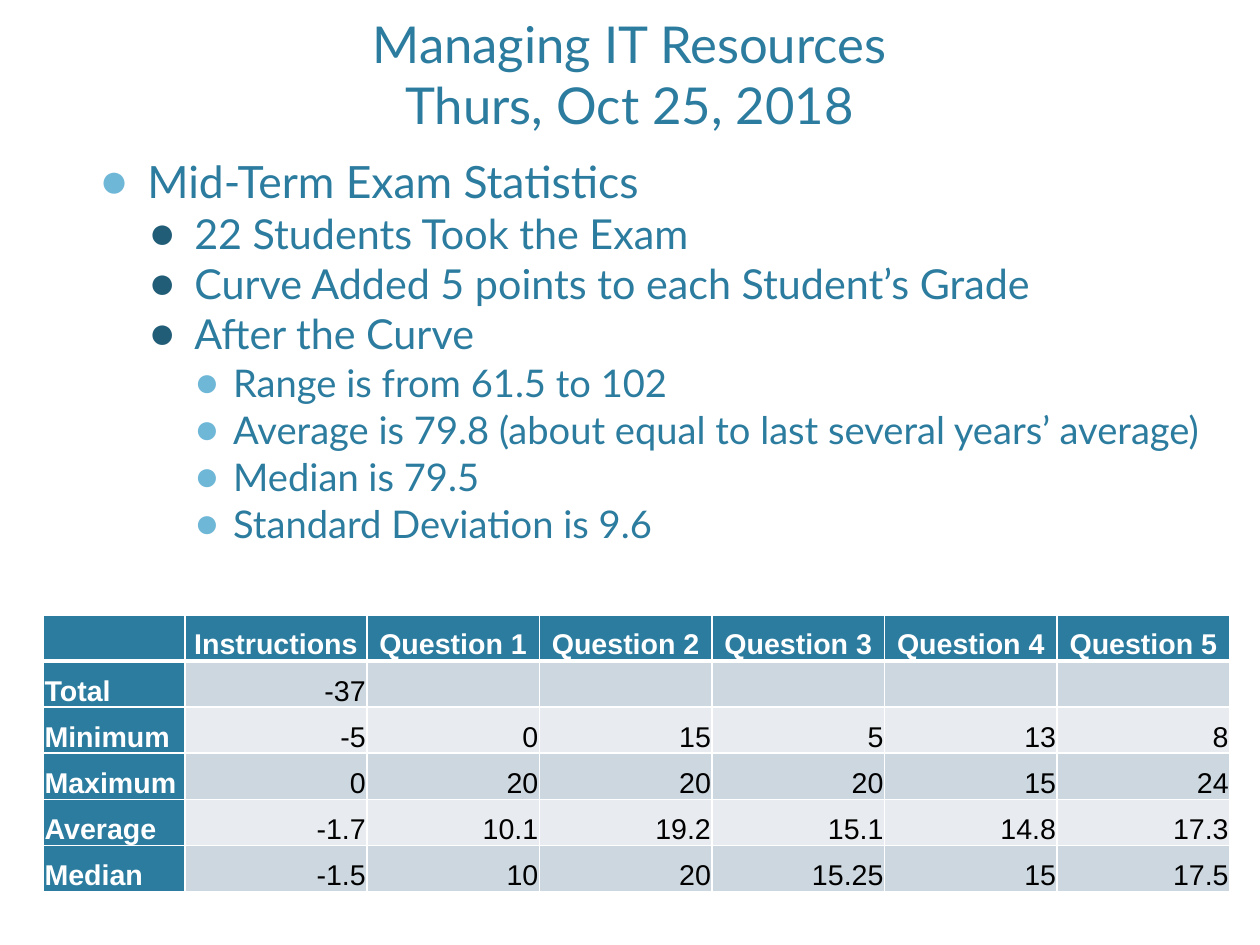
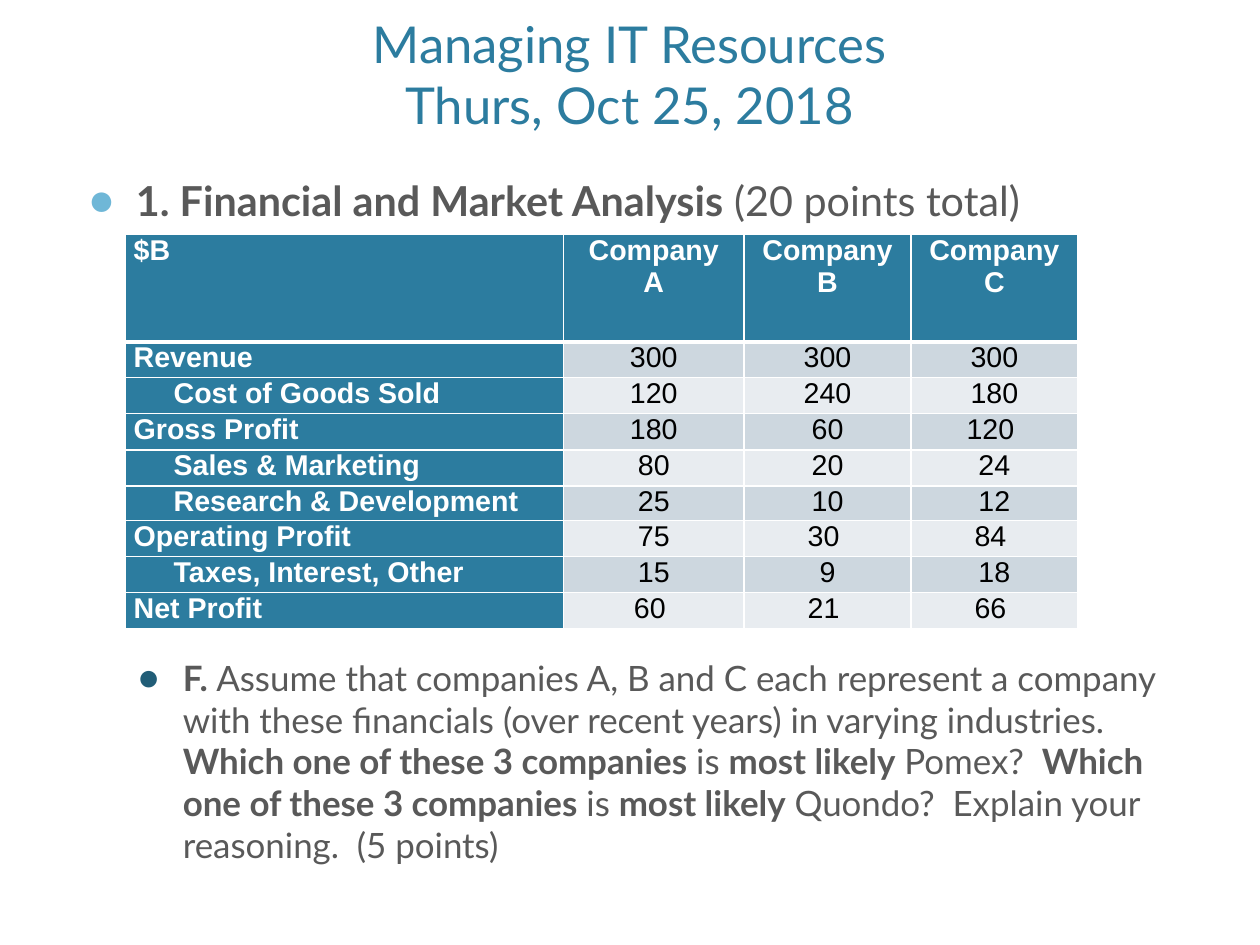
"""Build two class slides: exam statistics and a financial question."""
from lxml import etree
from pptx import Presentation
from pptx.dml.color import RGBColor
from pptx.enum import text
from pptx.oxml import ns
from pptx.util import Cm, Inches, Pt

COLORS = {"teal": "2C7C9F", "sky": "6FB7D7", "navy": "215D77", "gray": "595959",
          "band": "CDD7DF", "pale": "E8ECF0", "white": "FFFFFF", "black": "000000"}
LEFT, CENTER, RIGHT = text.PP_ALIGN.LEFT, text.PP_ALIGN.CENTER, text.PP_ALIGN.RIGHT
TITLE = ("Managing IT Resources", "Thurs, Oct 25, 2018")
BULLETS = [(0.42, -0.42, "sky", 22), (0.83, -0.4, "navy", 6.6), (1.17, -0.34, "sky", 6.6)]

STATISTICS = [
    (0, "Mid-Term Exam Statistics"),
    (1, "22 Students Took the Exam"),
    (1, "Curve Added 5 points to each Student’s Grade"),
    (1, "After the Curve"),
    (2, "Range is from 61.5 to 102"),
    (2, "Average is 79.8 (about equal to last several years’ average)"),
    (2, "Median is 79.5"),
    (2, "Standard Deviation is 9.6"),
]
SCORES = [
    ["", "Instructions"] + [f"Question {n}" for n in range(1, 6)],
    ["Total", "-37", "", "", "", "", ""],
    ["Minimum", "-5", "0", "15", "5", "13", "8"],
    ["Maximum", "0", "20", "20", "20", "15", "24"],
    ["Average", "-1.7", "10.1", "19.2", "15.1", "14.8", "17.3"],
    ["Median", "-1.5", "10", "20", "15.25", "15", "17.5"],
]
FINANCIALS = [
    ["$B", "Company\nA", "Company\nB", "Company\nC"],
    ["Revenue", "300", "300", "300"],
    ["Cost of Goods Sold", "120", "240", "180"],
    ["Gross Profit", "180", "60", "120 "],
    ["Sales & Marketing", "80", "20", "24"],
    ["Research & Development", "25", "10", "12"],
    ["Operating Profit", "75", "30 ", "84 "],
    ["Taxes, Interest, Other", "15", "9", "18"],
    ["Net Profit", "60 ", "21 ", "66 "],
]
COST_ROWS = (2, 4, 5, 7)
HEADING = [("1. Financial and Market Analysis ", True), ("(20 points total)", False)]
QUESTION = [
    ("F. ", True),
    ("Assume that companies A, B and C each represent a company with these "
     "financials (over recent years) in varying industries.  ", False),
    ("Which one of these 3 companies", True), (" is ", False),
    ("most likely", True), (" Pomex?  ", False),
    ("Which one of these 3 companies", True), (" is ", False),
    ("most likely", True),
    (" Quondo?  Explain your reasoning.  (5 points)", False),
]


def add_run(p, words, size, color, font="Lato", bold=False):
    """Add one formatted run to a paragraph."""
    r = p.add_run()
    r.text = words
    r.font.size, r.font.name, r.font.bold = Pt(size), font, bold
    r.font.color.rgb = RGBColor.from_string(COLORS[color])


def place(sp, left, top, width, height):
    """Position a shape, in inches."""
    sp.left, sp.top, sp.width, sp.height = map(Inches, (left, top, width, height))


def set_frame(tf, anchor):
    """Give a text frame the shared margins and no autofit."""
    tf.word_wrap, tf.auto_size = True, text.MSO_AUTO_SIZE.NONE
    tf.vertical_anchor = anchor
    tf.margin_left = tf.margin_right = Inches(0.11)
    tf.margin_top = tf.margin_bottom = Inches(0.06)


def add_slide(prs, body_box):
    """Add a slide with the shared title; return it and its body text frame."""
    s = prs.slides.add_slide(prs.slide_layouts[1])
    title, body = s.placeholders
    place(title, 0.66, -0.37, 9.7, 1.61)
    set_frame(title.text_frame, text.MSO_ANCHOR.BOTTOM)
    p = title.text_frame.paragraphs[0]
    p.alignment = CENTER
    add_run(p, TITLE[0], 32, "teal")
    p.add_line_break()
    add_run(p, TITLE[1], 32, "teal")
    place(body, *body_box)
    set_frame(body.text_frame, text.MSO_ANCHOR.TOP)
    return s, body.text_frame


def add_bullet(tf, level, runs, size, color, spacing=1.0, before=None):
    """Add a bulleted paragraph made of (words, bold) runs."""
    p = tf.paragraphs[0] if not tf.paragraphs[0].runs else tf.add_paragraph()
    margin, indent, dot, gap = BULLETS[level]
    p.level, p.line_spacing = level, spacing
    p.space_before, p.space_after = Pt(before or gap), Pt(0)
    pPr = p._p.get_or_add_pPr()
    pPr.set("marL", str(Inches(margin)))
    pPr.set("indent", str(Inches(indent)))
    clr = etree.SubElement(pPr, ns.qn("a:buClr"))
    etree.SubElement(clr, ns.qn("a:srgbClr"), val=COLORS[dot])
    etree.SubElement(pPr, ns.qn("a:buSzPct"), val="110000")
    etree.SubElement(pPr, ns.qn("a:buChar"), char="●")
    for words, bold in runs:
        add_run(p, words, size, color, bold=bold)


def set_borders(cell, row):
    """Draw white cell borders, thick below the header row."""
    widths = {"L": 1, "R": 1, "T": 3 if row == 1 else 1, "B": 3 if row == 0 else 1}
    for side, width in widths.items():
        ln = etree.SubElement(cell._tc.get_or_add_tcPr(), ns.qn(f"a:ln{side}"),
                              w=str(Pt(width)))
        fill = etree.SubElement(ln, ns.qn("a:solidFill"))
        etree.SubElement(fill, ns.qn("a:srgbClr"), val=COLORS["white"])


def add_table(s, left, top, cols, heights, rows, align, anchor, margins, indented=()):
    """Add a table with teal header row and column and banded values."""
    side, upper = margins
    table = s.shapes.add_table(len(rows), len(cols), Inches(left), Inches(top),
                               Inches(sum(cols)), Inches(sum(heights))).table
    for column, width in zip(table.columns, cols):
        column.width = Inches(width)
    for i, (row, height) in enumerate(zip(rows, heights)):
        table.rows[i].height = Inches(height)
        for j, value in enumerate(row):
            cell = table.cell(i, j)
            header = i == 0 or j == 0
            set_borders(cell, i)
            fill = "teal" if header else "band" if i % 2 else "pale"
            cell.fill.solid()
            cell.fill.fore_color.rgb = RGBColor.from_string(COLORS[fill])
            cell.vertical_anchor = anchor
            cell.margin_left = Inches(side + (0.35 if j == 0 and i in indented else 0))
            cell.margin_right = Inches(side)
            cell.margin_top, cell.margin_bottom = Inches(upper), 0
            tf = cell.text_frame
            for n, line in enumerate(value.split("\n") if value else []):
                p = tf.add_paragraph() if n else tf.paragraphs[0]
                p.alignment = LEFT if j == 0 else CENTER if i == 0 else align
                add_run(p, line, 18, "white" if header else "black", "Arial", header)


def add_statistics(prs):
    """Add the exam statistics slide."""
    s, tf = add_slide(prs, (0.76, 1.38, 10.06, 6.34))
    for level, words in STATISTICS:
        add_bullet(tf, level, [(words, False)], 28 - 2 * level, "teal", spacing=0.8)
    add_table(s, 0.38, 5.38, [1.24, 1.59] + [1.51] * 5, [2.42 / 6] * 6, SCORES,
              RIGHT, text.MSO_ANCHOR.BOTTOM, (0.01, 0.01))


def add_financials(prs):
    """Add the financial analysis slide."""
    s, tf = add_slide(prs, (0.66, 1.47, 9.7, 5.24))
    add_bullet(tf, 0, HEADING, 26, "gray")
    add_bullet(tf, 1, QUESTION, 22, "gray", before=272)
    header, short = 0.94, 0.3
    regular = (3.45 - header - short) / 7
    heights = [header] + [regular] * 4 + [short] + [regular] * 3
    add_table(s, 1.1, 2.05, [3.83, 1.58, 1.46, 1.46], heights, FINANCIALS,
              CENTER, text.MSO_ANCHOR.TOP, (0.07, 0), COST_ROWS)


def main():
    """Build and save the presentation."""
    prs = Presentation()
    prs.slide_width, prs.slide_height = Cm(28), Cm(21)
    add_statistics(prs)
    add_financials(prs)
    prs.save("out.pptx")


if __name__ == "__main__":
    main()
